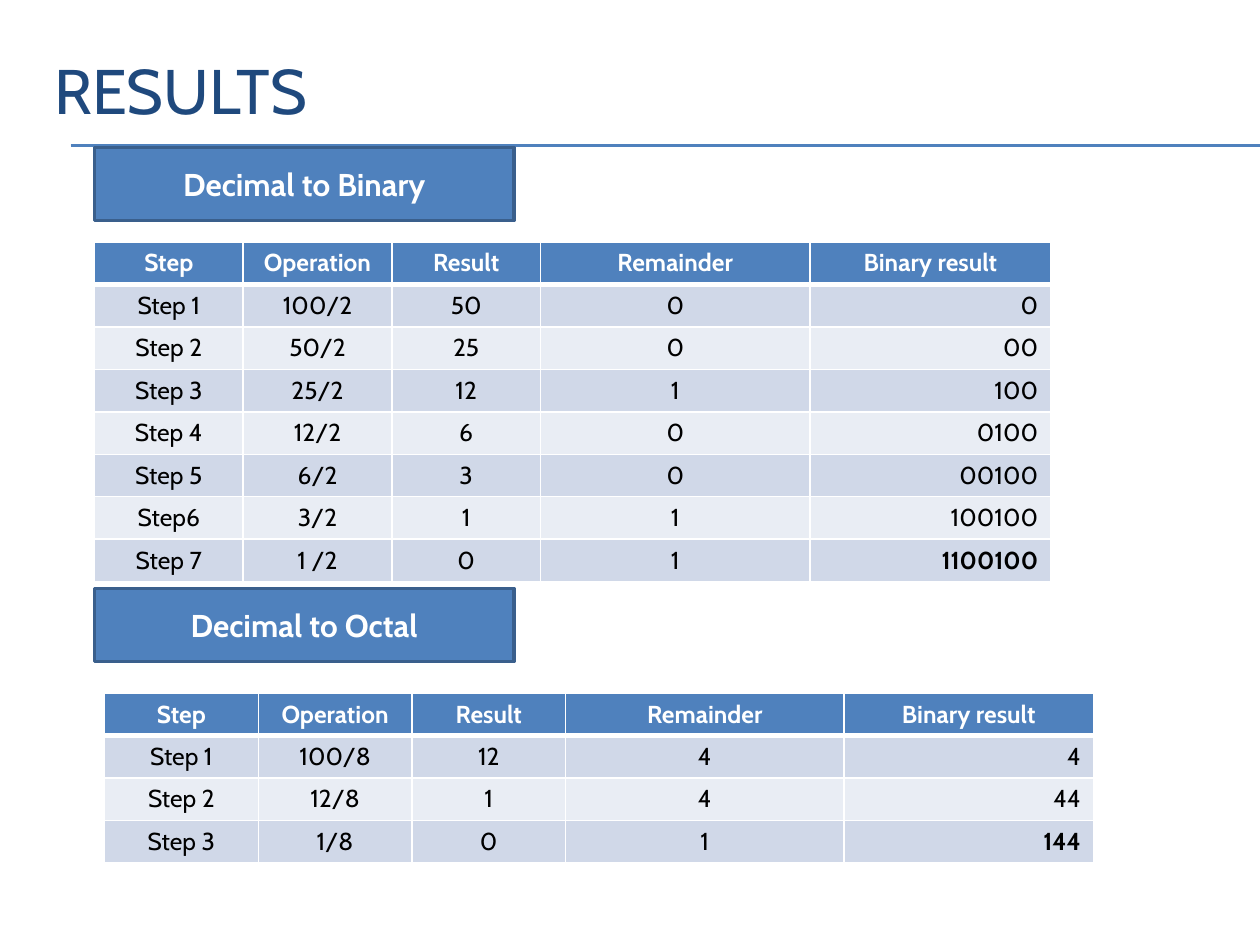
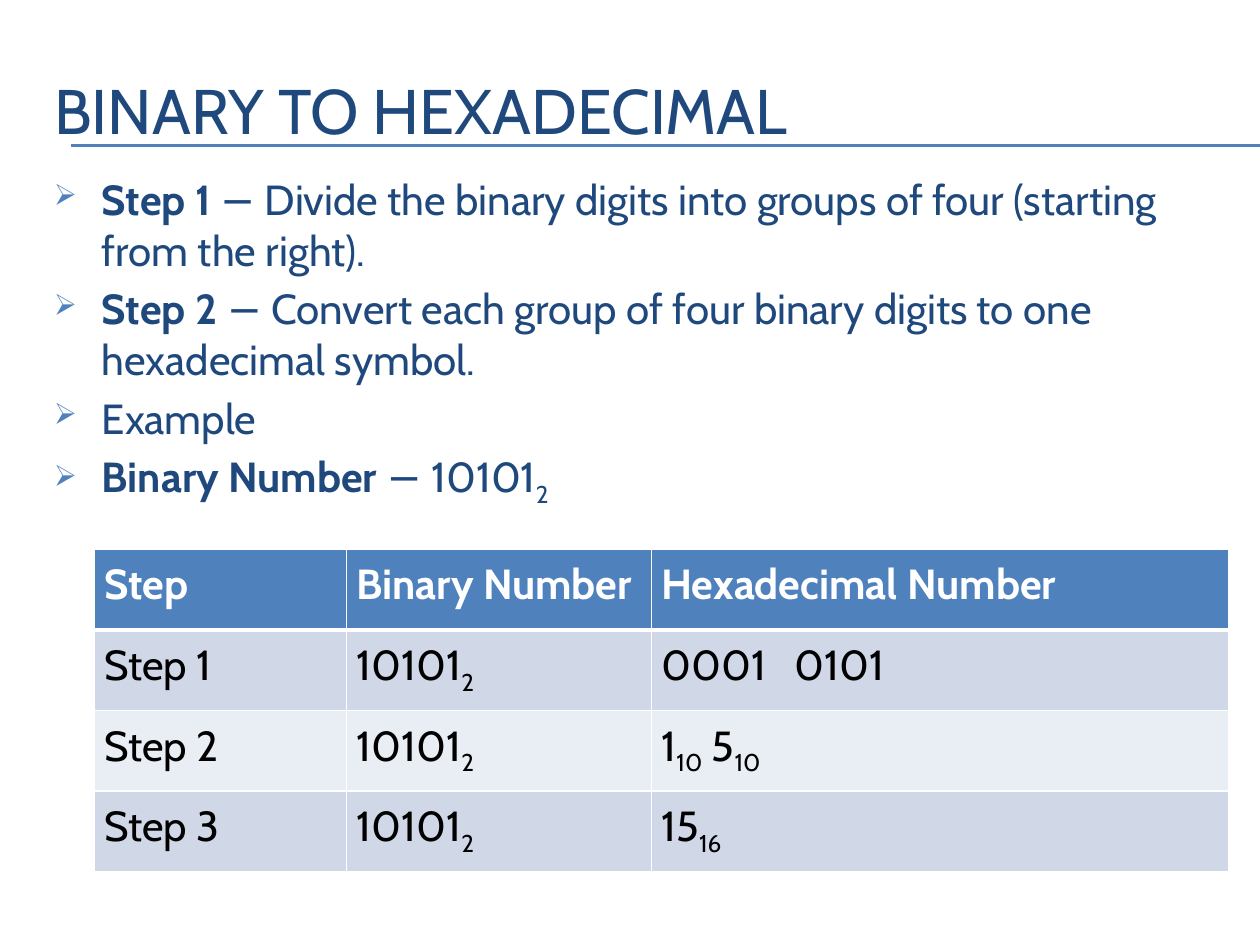
from lxml.etree import SubElement as Sub
from pptx import Presentation
from pptx.dml.color import RGBColor
from pptx.enum.shapes import MSO_CONNECTOR as Link, MSO_SHAPE as Shape
from pptx.enum.text import MSO_ANCHOR as Anchor, PP_ALIGN as Align
from pptx.oxml.ns import qn
from pptx.util import Inches, Pt

FONT = "Cabin"
NAVY = RGBColor(0x1F, 0x49, 0x7D)
BLUE = RGBColor(0x4F, 0x81, 0xBD)
EDGE = RGBColor(0x3A, 0x5F, 0x8C)
BAND = RGBColor(0xD0, 0xD8, 0xE8)
PALE = RGBColor(0xE9, 0xED, 0xF4)
WHITE = RGBColor(0xFF, 0xFF, 0xFF)
BLACK = RGBColor(0x00, 0x00, 0x00)

# A text is a string or a list of (words, style) runs.
HEAD = ["Step", "Operation", "Result", "Remainder", "Binary result"]
BINARY = [
    HEAD,
    ["Step 1", "100/2", "50", "0", "0"],
    ["Step 2", "50/2", "25", "0", "00"],
    ["Step 3", "25/2", "12", "1", "100"],
    ["Step 4", "12/2", "6", "0", "0100"],
    ["Step 5", "6/2", "3", "0", "00100"],
    ["Step6", "3/2", "1", "1", "100100"],
    ["Step 7", "1 /2", "0", "1", [("1100100", "bold")]],
]
OCTAL = [
    HEAD,
    ["Step 1", "100/8", "12", "4", "4"],
    ["Step 2", "12/8", "1", "4", "44"],
    ["Step 3", "1/8", "0", "1", [("144", "bold")]],
]
# label, label top, rows, table left, table top, column widths
PARTS = [
    ("Decimal to Binary", 1.17, BINARY, 0.75, 1.92, [1.18] * 3 + [2.14, 1.91]),
    ("Decimal to Octal", 4.67, OCTAL, 0.83, 5.5, [1.22] * 3 + [2.21, 1.98]),
]
STEPS = [
    [("Step 1", "bold"),
     (" − Divide the binary digits into groups of four (starting from the right).", "")],
    [("Step 2", "bold"),
     (" − Convert each group of four binary digits to one hexadecimal symbol.", "")],
    "Example",
    [("Binary Number ", "bold"), ("− 10101", ""), ("2", "sub")],
]
NUMBER = [("10101", ""), ("2", "sub")]
HEXA = [
    ["Step", "Binary Number", "Hexadecimal Number"],
    ["Step 1", NUMBER, "0001\t0101"],
    ["Step 2", NUMBER, [("1", ""), ("10", "sub"), (" 5", ""), ("10", "sub")]],
    ["Step 3", NUMBER, [("15", ""), ("16", "sub")]],
]


def put(frame, *texts, size, color, bold=False, align=Align.LEFT,
        bullet=None, gap=0, tab=None):
    """Write each text as one paragraph of the frame."""
    frame.word_wrap = True
    for i, text in enumerate(texts):
        para = frame.add_paragraph() if i else frame.paragraphs[0]
        para.alignment = align
        if gap and i:
            para.space_before = Pt(gap)
        props = para._p.get_or_add_pPr()
        if bullet:
            props.set("marL", str(Inches(0.38)))
            props.set("indent", str(-Inches(0.38)))
            Sub(Sub(props, qn("a:buClr")), qn("a:srgbClr"), val=str(BLUE))
            Sub(props, qn("a:buSzPct"), val="70000")
            Sub(props, qn("a:buChar"), char=bullet)
        if tab:
            Sub(Sub(props, qn("a:tabLst")), qn("a:tab"),
                pos=str(Inches(tab)), algn="l")
        for words, style in [(text, "")] if isinstance(text, str) else text:
            run = para.add_run()
            run.text = words
            font = run.font
            font.name, font.size = FONT, Pt(size)
            font.bold = bold or style == "bold"
            font.color.rgb = color
            if style == "sub":
                run._r.get_or_add_rPr().set("baseline", "-25000")


def border(cell, row):
    """White cell edges, thick below the header row."""
    props = cell._tc.get_or_add_tcPr()
    wide = {"T": 3 if row == 1 else 1, "B": 3 if row == 0 else 1}
    for side in "LRTB":
        line = Sub(props, qn("a:ln" + side), w=str(Pt(wide.get(side, 1))))
        Sub(Sub(line, qn("a:solidFill")), qn("a:srgbClr"), val=str(WHITE))


def grid(slide, rows, left, top, widths, high, size, aligns,
         anchor=Anchor.TOP, inset=None):
    table = slide.shapes.add_table(
        len(rows), len(widths), Inches(left), Inches(top),
        Inches(sum(widths)), Inches(high * len(rows))).table
    table.horz_banding = False
    for col, wide in zip(table.columns, widths):
        col.width = Inches(wide)
    for r, texts in enumerate(rows):
        table.rows[r].height = Inches(high)
        for c, text in enumerate(texts):
            cell = table.cell(r, c)
            border(cell, r)
            cell.fill.solid()
            cell.fill.fore_color.rgb = (PALE, BAND)[r % 2] if r else BLUE
            cell.vertical_anchor = anchor
            if inset:
                cell.margin_left = cell.margin_right = Inches(inset)
                cell.margin_top = cell.margin_bottom = Inches(inset)
            put(cell.text_frame, text, size=size, bold=r == 0,
                color=BLACK if r else WHITE,
                align=aligns[c] if r else aligns[0],
                tab=1.06 if "\t" in text else None)


def start(deck, name, top, high):
    """Add a slide with its title and the double rule."""
    slide = deck.slides.add_slide(deck.slide_layouts[5])
    for y in (1.15, 1.16):
        rule = slide.shapes.add_connector(
            Link.STRAIGHT, Inches(0.56), Inches(y), Inches(10), Inches(y))
        rule.line.color.rgb = BLUE
        rule.line.width = Pt(0.75)
        Sub(rule._element.spPr, qn("a:effectLst"))
    title = slide.shapes.title
    title.left, title.top = Inches(0.33), Inches(top)
    title.width, title.height = Inches(9.5), Inches(high)
    title.text_frame.vertical_anchor = Anchor.MIDDLE
    put(title.text_frame, name, size=36, color=NAVY)
    return slide


def label(slide, text, top):
    box = slide.shapes.add_shape(
        Shape.RECTANGLE, Inches(0.75), Inches(top), Inches(3.33), Inches(0.58))
    box.shadow.inherit = False
    box.fill.solid()
    box.fill.fore_color.rgb = BLUE
    box.line.color.rgb = EDGE
    box.line.width = Pt(2)
    box.text_frame.vertical_anchor = Anchor.MIDDLE
    put(box.text_frame, text, size=18, color=WHITE, bold=True,
        align=Align.CENTER)


def results(deck):
    slide = start(deck, "RESULTS", 0, 1.42)
    aligns = [Align.CENTER] * 4 + [Align.RIGHT]
    for text, y, rows, left, top, widths in PARTS:
        label(slide, text, y)
        grid(slide, rows, left, top, widths, 0.33, 14, aligns, Anchor.MIDDLE)


def hexa(deck):
    slide = start(deck, "BINARY TO HEXADECIMAL", 0.33, 1.08)
    body = slide.shapes.add_textbox(
        Inches(0.33), Inches(1.33), Inches(9.5), Inches(2.83))
    put(body.text_frame, *STEPS, size=24, color=NAVY, bullet="➢", gap=4.8)
    grid(slide, HEXA, 0.75, 4.36, [2, 2.42, 4.58], 0.64, 24,
         [Align.LEFT] * 3, inset=0.08)


def main():
    deck = Presentation()
    deck.slide_width, deck.slide_height = Inches(10), Inches(7.5)
    results(deck)
    hexa(deck)
    deck.save("out.pptx")


if __name__ == "__main__":
    main()
